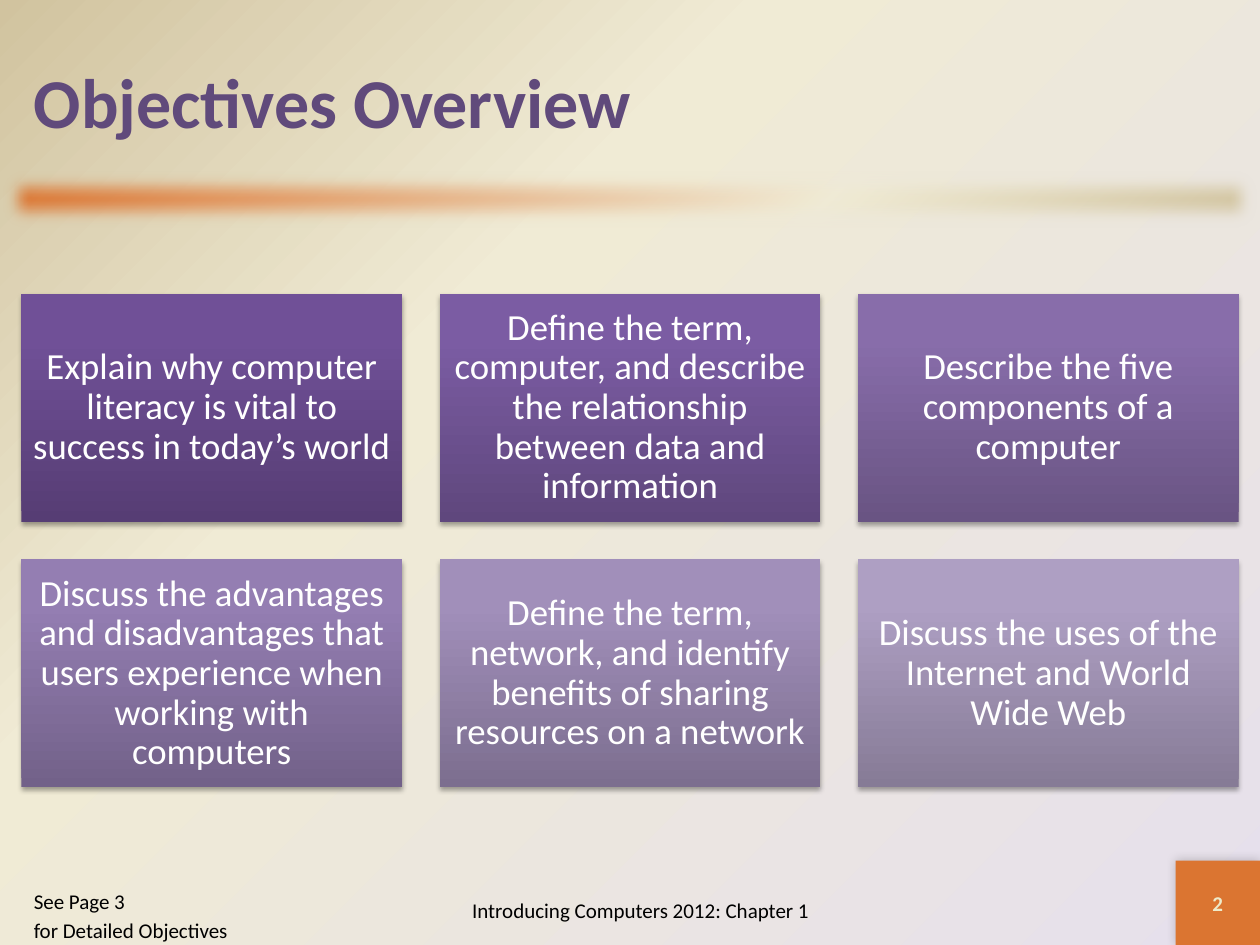
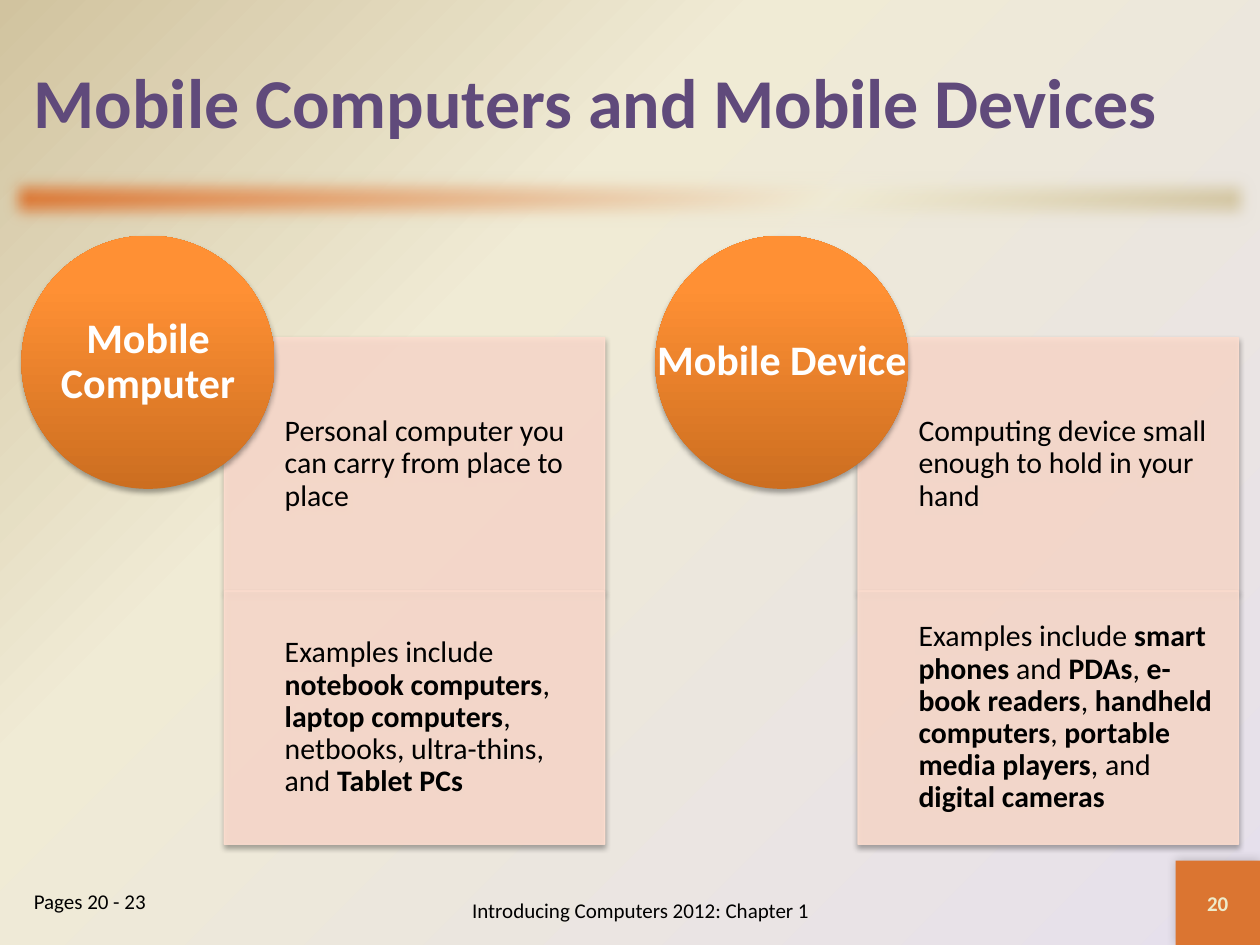
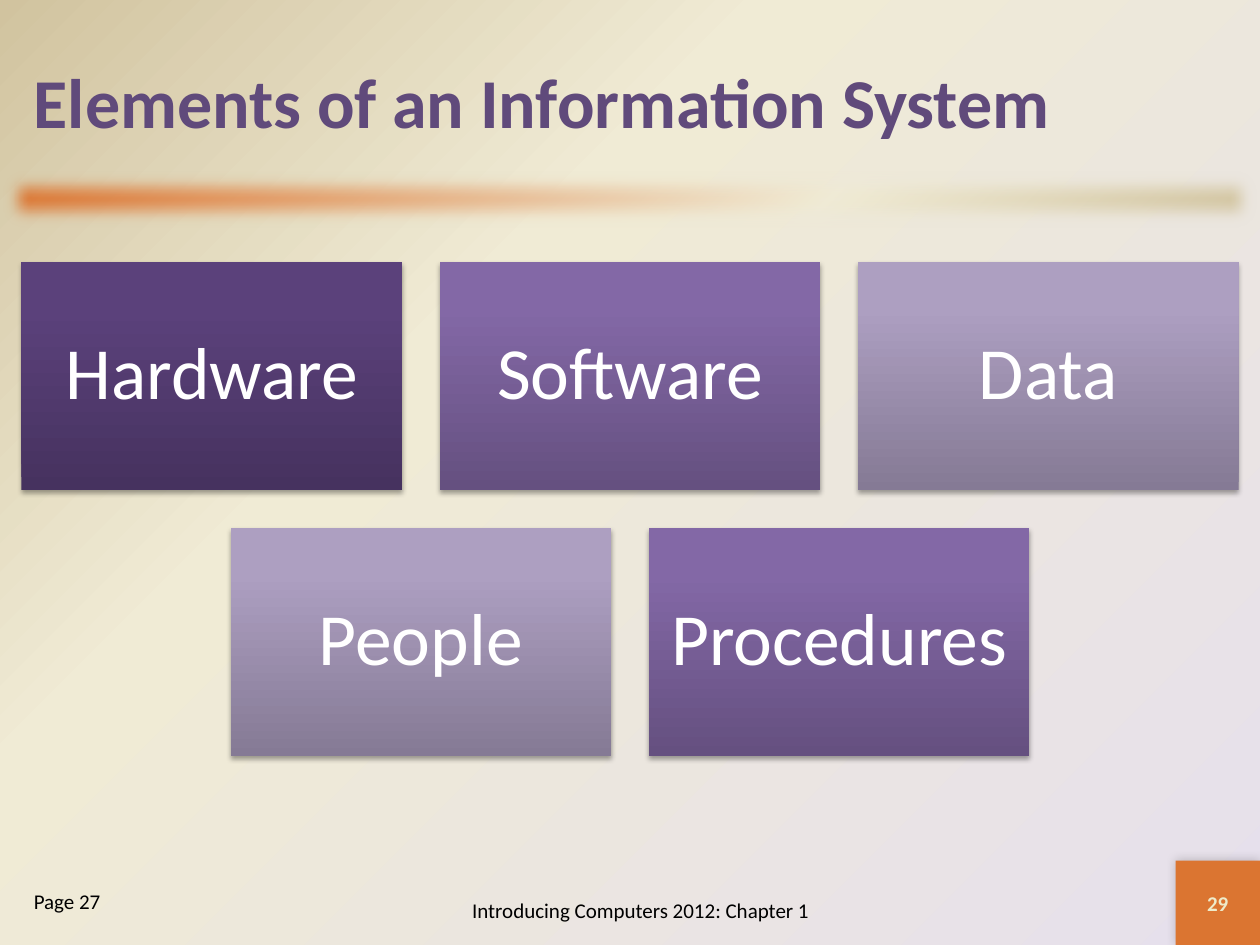
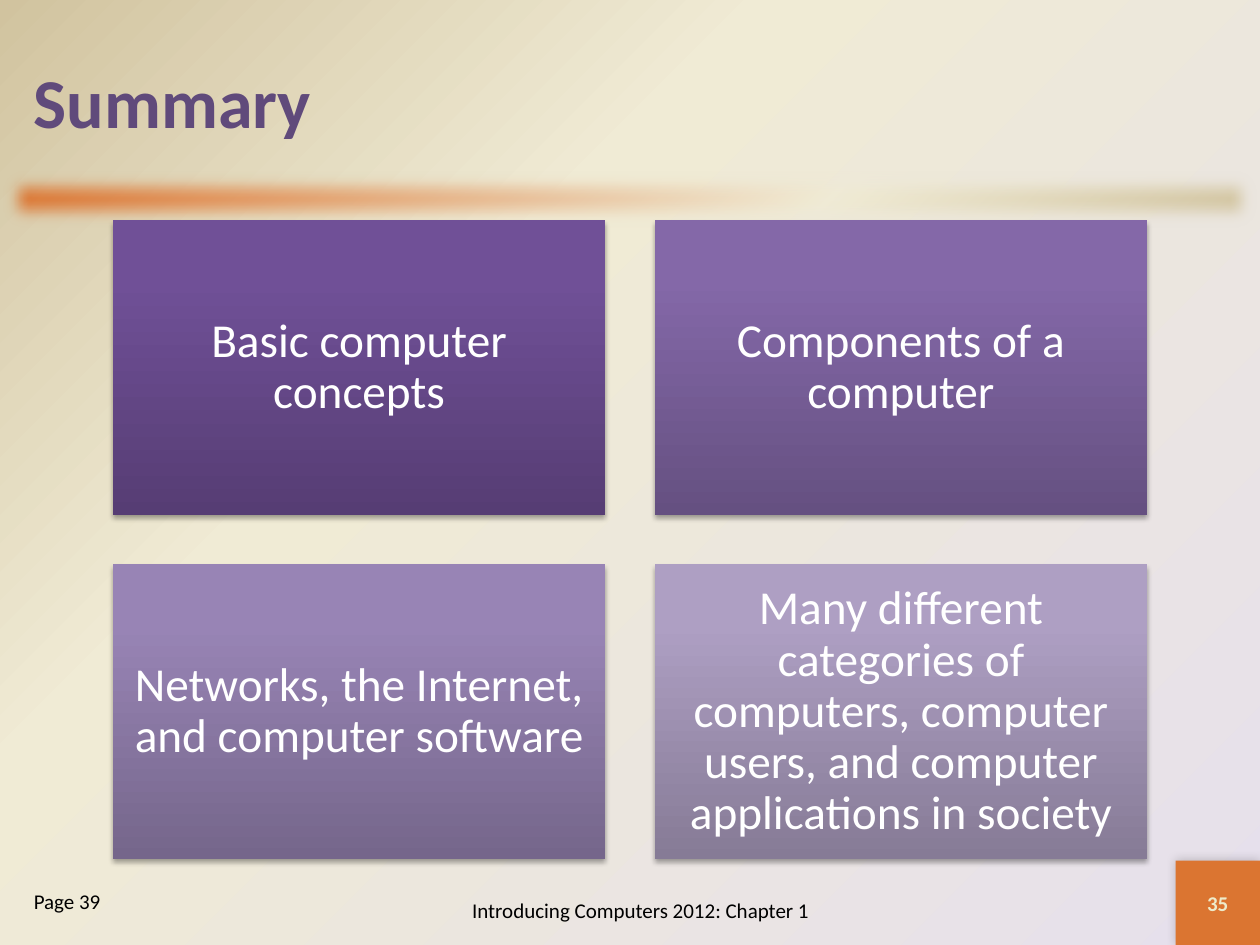
from lxml.etree import SubElement
from pptx import Presentation
from pptx.dml.color import RGBColor
from pptx.enum.shapes import MSO_SHAPE
from pptx.enum.text import MSO_ANCHOR, PP_ALIGN
from pptx.oxml.ns import qn
from pptx.util import Inches, Pt

FONT = "Calibri"
BLACK = RGBColor(0x00, 0x00, 0x00)
WHITE = RGBColor(0xFF, 0xFF, 0xFF)
TITLE_PURPLE = RGBColor(0x60, 0x4A, 0x7B)
ORANGE = RGBColor(0xDB, 0x75, 0x31)
LAVENDER = RGBColor(0xE6, 0xE0, 0xEC)
CREAM = RGBColor(0xF0, 0xEB, 0xD5)
TAN = RGBColor(0xD1, 0xC3, 0x9F)
NUMBER_CREAM = RGBColor(0xEE, 0xEB, 0xCA)
PEACH = RGBColor(0xFC, 0xDD, 0xCF)


def ramp(*codes):
    """Colours of a shaded surface, from its bottom to its top."""
    return [RGBColor.from_string(code) for code in codes]


CIRCLE_ORANGE = ramp("CC6E20", "FF9034", "FF9136")
OBJECTIVE_RAMPS = [
    ramp("563D74", "705097", "704F99"), ramp("5F477D", "7B5CA3", "7C5BA5"),
    ramp("695483", "886DAA", "886DAC"), ramp("726189", "947EB2", "957EB4"),
    ramp("7C6E8F", "A18FBA", "A18FBC"), ramp("867B96", "AE9FC3", "AE9FC4"),
]
DARK = ramp("46325F", "5B417B", "5B407C")
MIDDLE = ramp("655080", "8368A6", "8368A8")
PALE = ramp("857A95", "AD9FC1", "AE9FC3")
ELEMENT_RAMPS = [DARK, MIDDLE, PALE, PALE, MIDDLE]
SUMMARY_RAMPS = [
    OBJECTIVE_RAMPS[0], ramp("655081", "8468A8", "8467AA"),
    ramp("75668B", "9884B5", "9984B7"), OBJECTIVE_RAMPS[5],
]

EDGE = 0.17
TILE_WIDTH, TILE_HEIGHT, TILE_GAP = 3.02, 1.81, 0.3
CIRCLE = 2.01
FOOTER = "Introducing Computers 2012: Chapter 1"


def set_gradient(fill, parent, colours, positions, angle=None):
    """Fill with a linear gradient, or with a circular one around the bottom right corner."""
    fill.gradient()
    gradient = parent.find(".//" + qn("a:gradFill"))
    gradient.clear()
    stops = SubElement(gradient, qn("a:gsLst"))
    for colour, position in zip(colours, positions):
        stop = SubElement(stops, qn("a:gs"), pos=str(position * 1000))
        SubElement(stop, qn("a:srgbClr"), val=str(colour))
    if angle is None:
        circle = SubElement(gradient, qn("a:path"), path="circle")
        SubElement(circle, qn("a:fillToRect"), l="100000", t="100000")
    else:
        SubElement(gradient, qn("a:lin"), ang=str(angle * 60000), scaled="0")


class Deck:
    """Holds the shared style and the slide being built."""

    def __init__(self):
        self.prs = Presentation()
        self.prs.slide_width, self.prs.slide_height = Inches(10), Inches(7.5)
        master = self.prs.slide_master
        set_gradient(master.background.fill, master.element, [LAVENDER, CREAM, TAN], [0, 65, 100])
        self.slide = None

    def new_slide(self, title, number, pages):
        self.slide = self.prs.slides.add_slide(self.prs.slide_layouts[6])
        band = self.shape(0, 1.33, 10, 0.5)
        set_gradient(band.fill, band.element.spPr, [ORANGE, CREAM, TAN], [0, 65, 100], 45)
        SubElement(self.effects(band), qn("a:softEdge"), rad=str(Pt(10)))
        self.text_box(EDGE, 0.17, 9.67, 1.25, [title], 40, TITLE_PURPLE, bold=True)
        badge = self.shape(9.33, 6.83, 0.67, 0.67)
        badge.fill.solid()
        badge.fill.fore_color.rgb = ORANGE
        self.shadow(badge, opacity=20, blur=6, distance=0, angle=225)
        self.set_text(badge, [number], 12, NUMBER_CREAM, PP_ALIGN.CENTER, bold=True)
        self.text_box(3, 6.95, 4.17, 0.55, [FOOTER], 12, BLACK, PP_ALIGN.CENTER)
        references = self.text_box(EDGE, 7, 1.83, 0.5, pages[:1], 12, BLACK)
        references.text_frame.vertical_anchor = MSO_ANCHOR.TOP
        for page in pages[1:]:
            paragraph = references.text_frame.add_paragraph()
            paragraph.space_before = Pt(2.4)
            self.run(paragraph, page, 12, BLACK)

    def shape(self, left, top, width, height, kind=MSO_SHAPE.RECTANGLE):
        shape = self.slide.shapes.add_shape(
            kind, Inches(left), Inches(top), Inches(width), Inches(height))
        shape.shadow.inherit = False
        shape.line.fill.background()
        return shape

    def effects(self, shape):
        return shape.element.spPr.find(qn("a:effectLst"))

    def shadow(self, shape, opacity=35, blur=3.1, distance=1.8, angle=90):
        outer = SubElement(
            self.effects(shape), qn("a:outerShdw"), blurRad=str(Pt(blur)),
            dist=str(Pt(distance)), dir=str(angle * 60000), rotWithShape="0")
        colour = SubElement(outer, qn("a:srgbClr"), val=str(BLACK))
        SubElement(colour, qn("a:alpha"), val=str(opacity * 1000))

    def shaded(self, left, top, width, height, colours, kind=MSO_SHAPE.RECTANGLE):
        shape = self.shape(left, top, width, height, kind)
        set_gradient(shape.fill, shape.element.spPr, colours, [0, 80, 100], 270)
        self.shadow(shape)
        return shape

    def run(self, paragraph, text, size, colour, bold=False):
        run = paragraph.add_run()
        run.text = text
        font = run.font
        font.name, font.size, font.bold = FONT, Pt(size), bold
        font.color.rgb = colour

    def set_text(self, shape, parts, size, colour, align=PP_ALIGN.LEFT, bold=False,
                 insets=(0.1, 0.05, 0.1, 0.05), spacing=1.0):
        """Set one paragraph; every second part stands out in bold."""
        frame = shape.text_frame
        frame.word_wrap = True
        frame.vertical_anchor = MSO_ANCHOR.MIDDLE
        (frame.margin_left, frame.margin_top,
         frame.margin_right, frame.margin_bottom) = map(Inches, insets)
        paragraph = frame.paragraphs[0]
        paragraph.alignment = align
        paragraph.line_spacing = spacing
        for index, part in enumerate(parts):
            self.run(paragraph, part, size, colour, bold or index % 2 == 1)

    def text_box(self, left, top, width, height, parts, size, colour,
                 align=PP_ALIGN.LEFT, **style):
        box = self.slide.shapes.add_textbox(
            Inches(left), Inches(top), Inches(width), Inches(height))
        self.set_text(box, parts, size, colour, align, **style)
        return box

    def tiles(self, labels, ramps, columns, top, size, inset,
              width=TILE_WIDTH, height=TILE_HEIGHT, gap=TILE_GAP):
        """Lay tiles out in rows, each row centred on the slide."""
        for index, (label, colours) in enumerate(zip(labels, ramps)):
            row, column = divmod(index, columns)
            in_row = min(columns, len(labels) - row * columns)
            start = (10 - in_row * width - (in_row - 1) * gap) / 2
            tile = self.shaded(start + column * (width + gap), top + row * (height + gap),
                               width, height, colours)
            self.set_text(tile, [label], size, WHITE, PP_ALIGN.CENTER,
                          insets=[inset] * 4, spacing=0.9)

    def definition(self, left, term, details):
        """Draw a stack of panels with the term in a circle over its corner."""
        for index, parts in enumerate(details):
            panel = self.shape(left + 1.61, 2.68 + index * CIRCLE, TILE_WIDTH, CIRCLE)
            panel.line.width = Pt(0.75)
            for fill in (panel.fill, panel.line.fill):
                fill.solid()
                fill.fore_color.rgb = PEACH
            for colour in panel.element.spPr.iter(qn("a:srgbClr")):
                SubElement(colour, qn("a:alpha"), val="90000")
            self.shadow(panel)
            self.set_text(panel, parts, 17, BLACK, insets=(0.48, 0.13, 0.13, 0.13), spacing=0.9)
        bounds = left, 1.87, CIRCLE, CIRCLE
        self.shaded(*bounds, CIRCLE_ORANGE, MSO_SHAPE.OVAL)
        self.text_box(*bounds, [term], 24, WHITE, PP_ALIGN.CENTER,
                      bold=True, insets=[0] * 4, spacing=0.9)


def main():
    deck = Deck()

    deck.new_slide("Objectives Overview", "2", ["See Page 3", "for Detailed Objectives"])
    objectives = [
        "Explain why computer literacy is vital to success in today’s world",
        "Define the term, computer, and describe the relationship between data and information",
        "Describe the five components of a computer",
        "Discuss the advantages and disadvantages that users experience when working with computers",
        "Define the term, network, and identify benefits of sharing resources on a network",
        "Discuss the uses of the Internet and World Wide Web",
    ]
    deck.tiles(objectives, OBJECTIVE_RAMPS, columns=3, top=2.33, size=21, inset=0.09)

    deck.new_slide("Mobile Computers and Mobile Devices", "20", ["Pages 20 - 23"])
    deck.definition(EDGE, "Mobile Computer", [
        ["Personal computer you can carry from place to place"],
        ["Examples include ", "notebook computers", ", ", "laptop computers",
         ", netbooks, ultra-thins, and ", "Tablet PCs"],
    ])
    deck.definition(5.2, "Mobile Device", [
        ["Computing device small enough to hold in your hand"],
        ["Examples include ", "smart phones ", "and ", "PDAs", ", ", "e-book readers", ", ",
         "handheld computers", ", ", "portable media players", ", and ", "digital cameras"],
    ])

    deck.new_slide("Elements of an Information System", "29", ["Page 27"])
    elements = ["Hardware", "Software", "Data", "People", "Procedures"]
    deck.tiles(elements, ELEMENT_RAMPS, columns=3, top=2.08, size=42, inset=0.17)

    deck.new_slide("Summary", "35", ["Page 39"])
    topics = [
        "Basic computer concepts",
        "Components of a computer",
        "Networks, the Internet, and computer software",
        "Many different categories of computers, computer users, "
        "and computer applications in society",
    ]
    deck.tiles(topics, SUMMARY_RAMPS, columns=2, top=1.75, size=27, inset=0.11,
               width=3.91, height=2.34, gap=0.39)

    deck.prs.save("out.pptx")


if __name__ == "__main__":
    main()
